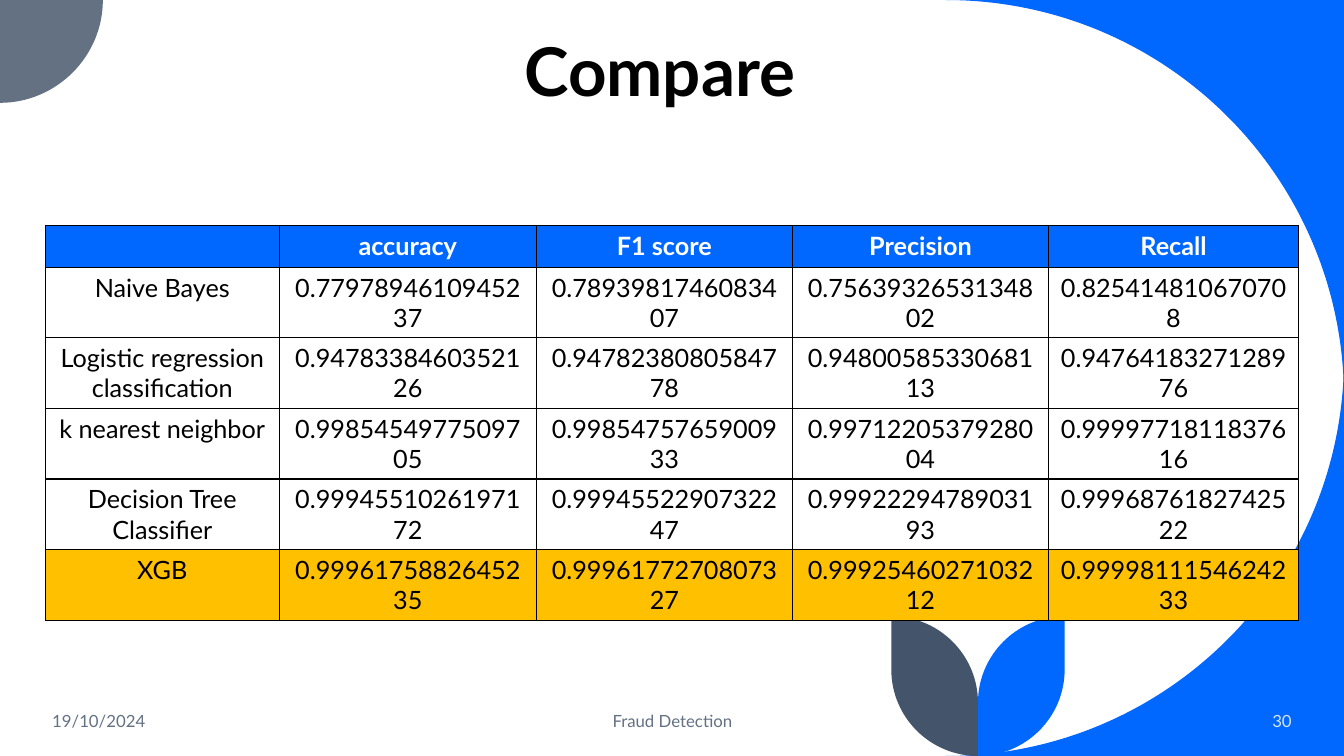
import pptx
import pptx.util
import pptx.oxml
import pptx.oxml.ns
import pptx.dml.color
import pptx.enum.text
import lxml.etree

Inches, Pt = pptx.util.Inches, pptx.util.Pt
RGBColor = pptx.dml.color.RGBColor
ALIGN = pptx.enum.text.PP_ALIGN
ANCHOR = pptx.enum.text.MSO_ANCHOR
qn = pptx.oxml.ns.qn

BLUE = RGBColor(0x00, 0x68, 0xFF)
GRAY = RGBColor(0x63, 0x71, 0x83)
SLATE = RGBColor(0x44, 0x54, 0x6A)
PALE = RGBColor(0xDA, 0xE5, 0xEF)
AMBER = RGBColor(0xFF, 0xC0, 0x00)
BLACK = RGBColor(0x00, 0x00, 0x00)
WHITE = RGBColor(0xFF, 0xFF, 0xFF)

TITLE_ONLY = 5
COLUMN_WIDTHS = [2.32, 2.55, 2.54, 2.54, 2.48]
SCORES = [
    ["", "accuracy", "F1 score", "Precision", "Recall"],
    ["Naive Bayes", "0.7797894610945237", "0.7893981746083407",
     "0.7563932653134802", "0.825414810670708"],
    ["Logistic regression classification", "0.9478338460352126",
     "0.9478238080584778", "0.9480058533068113", "0.9476418327128976"],
    ["k nearest neighbor", "0.9985454977509705", "0.9985475765900933",
     "0.9971220537928004", "0.9999771811837616"],
    ["Decision Tree Classifier", "0.9994551026197172", "0.9994552290732247",
     "0.9992229478903193", "0.9996876182742522"],
    ["XGB", "0.9996175882645235", "0.9996177270807327",
     "0.9992546027103212", "0.9999811154624233"],
]

# Each outline is a list of segments: one point is a line, three are a curve.
TOP_CORNER = [[(13.33, 0)], [(9.38, 0)],
              [(11.57, 0), (13.33, 1.77), (13.33, 3.95)]]
BOTTOM_CORNER = [[(13.33, 3.55)],
                 [(13.33, 5.73), (11.57, 7.5), (9.38, 7.5)], [(13.33, 7.5)]]
QUARTER_DISC = [[(0, 0)], [(1.02, 0)],
                [(1.02, 0.56), (0.56, 1.02), (0, 1.02)]]
LEAF = [[(10.56, 6.11)], [(10.56, 6.64)],
        [(10.56, 7.12), (10.17, 7.5), (9.7, 7.5)], [(9.7, 6.97)],
        [(9.7, 6.53), (10.04, 6.16), (10.47, 6.12)]]


def mirror(segments, axis_x):
    return [[(2 * axis_x - x, y) for x, y in segment] for segment in segments]


class SlideBuilder:
    """Holds the text style and the current slide."""

    def __init__(self, page, font_name="Lato"):
        self.page = page
        self.font_name = font_name

    def style(self, para, size, color, align, bold=False):
        para.alignment = align
        para.font.name = self.font_name
        para.font.size = Pt(size)
        para.font.bold = bold
        para.font.color.rgb = color

    def outline(self, segments, color):
        """Draw a closed freeform, turning three-point segments into curves."""
        points = [(Inches(x), Inches(y)) for segment in segments for x, y in segment]
        builder = self.page.shapes.build_freeform(*points[0])
        builder.add_line_segments(points[1:], close=True)
        shape = builder.convert_to_shape()
        lines = iter(list(shape._element.iter(qn("a:lnTo"))))
        for segment in segments[1:]:
            steps = [next(lines) for point in segment]
            if len(steps) == 3:
                bezier = lxml.etree.Element(qn("a:cubicBezTo"))
                steps[0].addprevious(bezier)
                for step in steps:
                    bezier.append(step[0])
                    step.getparent().remove(step)
        shape.shadow.inherit = False
        shape.fill.solid()
        shape.fill.fore_color.rgb = color
        shape.line.fill.background()

    def title(self, text, left, top, width, height):
        box = self.page.shapes.title
        box.left, box.top = Inches(left), Inches(top)
        box.width, box.height = Inches(width), Inches(height)
        frame = box.text_frame
        frame.text = text
        frame.auto_size = pptx.enum.text.MSO_AUTO_SIZE.NONE
        frame.vertical_anchor = ANCHOR.BOTTOM
        para = frame.paragraphs[0]
        para.line_spacing = 0.9
        self.style(para, 48, BLACK, ALIGN.CENTER, bold=True)

    def footer(self, text, left, width, color, align):
        box = self.page.shapes.add_textbox(
            Inches(left), Inches(6.95), Inches(width), Inches(0.4))
        frame = box.text_frame
        frame.word_wrap = True
        frame.vertical_anchor = ANCHOR.MIDDLE
        frame.text = text
        self.style(frame.paragraphs[0], 12, color, align)

    def border(self, cell):
        """Draw a black 1 pt line on all four sides of a cell."""
        properties = cell._tc.get_or_add_tcPr()
        for index, side in enumerate(("a:lnL", "a:lnR", "a:lnT", "a:lnB")):
            line = pptx.oxml.parse_xml(
                f'<{side} xmlns:a="{pptx.oxml.ns.nsuri("a")}" w="{Pt(1)}">'
                f'<a:solidFill><a:srgbClr val="{BLACK}"/></a:solidFill></{side}>')
            properties.insert(index, line)

    def table(self, rows, widths, left, top, row_height):
        table = self.page.shapes.add_table(
            len(rows), len(widths), Inches(left), Inches(top),
            Inches(sum(widths)), Inches(row_height * len(rows))).table
        table.horz_banding = False
        for column, width in zip(table.columns, widths):
            column.width = Inches(width)
        fills = {0: BLUE, len(rows) - 1: AMBER}
        for row_index, values in enumerate(rows):
            header = row_index == 0
            for column_index, value in enumerate(values):
                cell = table.cell(row_index, column_index)
                cell.text = value
                if row_index in fills:
                    cell.fill.solid()
                    cell.fill.fore_color.rgb = fills[row_index]
                else:
                    cell.fill.background()
                self.style(cell.text_frame.paragraphs[0], 18,
                           WHITE if header else BLACK, ALIGN.CENTER, bold=header)
                self.border(cell)


def main():
    deck = pptx.Presentation()
    deck.slide_width, deck.slide_height = Inches(13.33), Inches(7.5)
    slide = SlideBuilder(deck.slides.add_slide(deck.slide_layouts[TITLE_ONLY]))

    slide.outline(TOP_CORNER, BLUE)
    slide.outline(BOTTOM_CORNER, BLUE)
    slide.outline(QUARTER_DISC, GRAY)
    slide.outline(LEAF, BLUE)
    slide.outline(mirror(LEAF, 9.7), SLATE)

    slide.title("Compare ", 1.28, 0.42, 10.69, 0.73)
    slide.footer("19/10/2024", 0.42, 3, GRAY, ALIGN.LEFT)
    slide.footer("Fraud Detection", 4.42, 4.5, GRAY, ALIGN.CENTER)
    slide.footer("30", 11.1, 1.81, PALE, ALIGN.RIGHT)
    slide.table(SCORES, COLUMN_WIDTHS, 0.45, 2.24, 0.41)

    deck.save("out.pptx")


if __name__ == "__main__":
    main()
